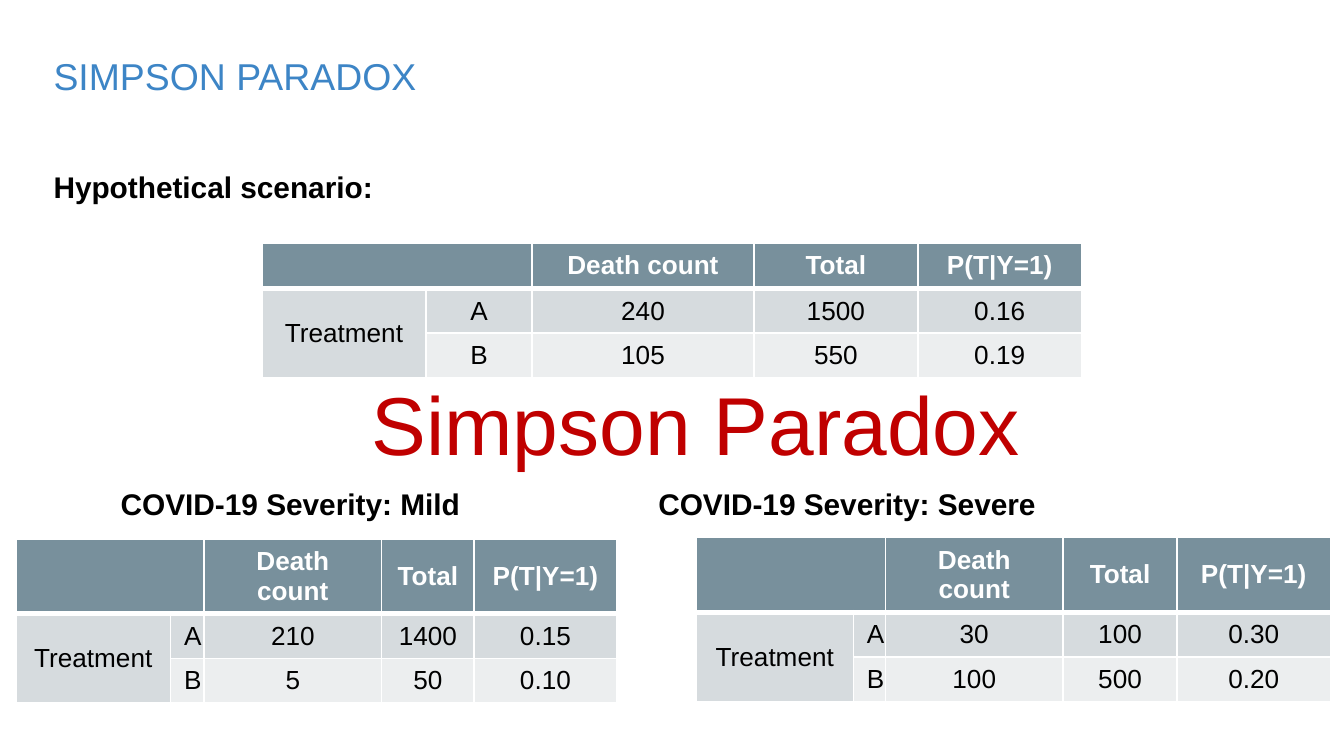
"""Build the Simpson paradox slide with one overall and two stratified tables."""
from dataclasses import dataclass

from lxml import etree
from pptx import Presentation
from pptx.dml.color import RGBColor
from pptx.enum.text import MSO_ANCHOR, PP_ALIGN
from pptx.oxml.ns import qn
from pptx.slide import Slide
from pptx.table import _Cell
from pptx.text.text import _Paragraph
from pptx.util import Pt

LEFT, CENTER = PP_ALIGN.LEFT, PP_ALIGN.CENTER
TOP, MIDDLE = MSO_ANCHOR.TOP, MSO_ANCHOR.MIDDLE


@dataclass(frozen=True)
class Theme:
    font: str = "Arial"
    title: str = "3D85C6"
    accent: str = "C00000"
    ink: str = "000000"
    paper: str = "FFFFFF"
    header: str = "78909C"
    band_dark: str = "D6DBDE"
    band_light: str = "ECEEEF"
    title_size: int = 20
    body_size: int = 16
    cell_size: int = 14
    banner_size: int = 44
    thin: int = 1
    thick: int = 3


@dataclass(frozen=True)
class Label:
    text: str
    box: tuple[float, float, float, float]
    size: int
    color: str
    bold: bool = False
    align: PP_ALIGN = LEFT
    anchor: MSO_ANCHOR = TOP
    spacing: float = 1.0
    inset: float = 3.6
    wrap: bool = True


@dataclass(frozen=True)
class CountTable:
    left: float
    top: float
    widths: tuple[float, ...]
    header_height: float
    a: tuple[str, str, str]
    b: tuple[str, str, str]


T = Theme()
ROW_HEIGHT = 24
HEADINGS = ("Death count", "Total", "P(T|Y=1)")

LABELS = (
    Label("Hypothetical scenario:", (21.6, 77, 890, 207.4), T.body_size, T.ink,
          bold=True, spacing=1.5),
    Label("SIMPSON PARADOX", (21.6, 20.2, 620.6, 41), T.title_size, T.title,
          anchor=MIDDLE, inset=7.2),
    Label("Simpson Paradox", (190, 196.6, 365.8, 60.5), T.banner_size, T.accent,
          align=CENTER, wrap=False),
    Label("\tCOVID-19 Severity: Mild\t\t\tCOVID-19 Severity: Severe",
          (21.6, 247, 890, 162.7), T.body_size, T.ink, bold=True, spacing=1.5),
)

TABLES = (
    CountTable(140.4, 130.3, (87.8, 56.9, 118.8, 87.8, 87.8), ROW_HEIGHT,
               ("240", "1500", "0.16"), ("105", "550", "0.19")),
    CountTable(8.6, 288.7, (82.8, 18, 95, 49.7, 76.3), 40,
               ("210", "1400", "0.15"), ("5", "50", "0.10")),
    CountTable(373, 288, (84.2, 16.6, 95, 61.2, 82.1), 40,
               ("30", "100", "0.30"), ("100", "500", "0.20")),
)


def style_runs(p: _Paragraph, size: int, color: str, bold: bool) -> None:
    for r in p.runs:
        r.font.name = T.font
        r.font.size = Pt(size)
        r.font.bold = bold
        r.font.color.rgb = RGBColor.from_string(color)


def add_label(s: Slide, label: Label) -> None:
    tf = s.shapes.add_textbox(*map(Pt, label.box)).text_frame
    tf.word_wrap = label.wrap
    tf.vertical_anchor = label.anchor
    tf.margin_top = tf.margin_bottom = Pt(label.inset)
    tf.text = label.text
    p = tf.paragraphs[0]
    p.alignment = label.align
    p.line_spacing = label.spacing
    style_runs(p, label.size, label.color, label.bold)


def set_borders(cell: _Cell, top: int, bottom: int) -> None:
    tc_pr = cell._tc.get_or_add_tcPr()
    sides = {"a:lnL": T.thin, "a:lnR": T.thin, "a:lnT": top, "a:lnB": bottom}
    for i, (tag, width) in enumerate(sides.items()):
        ln = etree.Element(qn(tag), w=str(Pt(width)))
        fill = etree.SubElement(ln, qn("a:solidFill"))
        etree.SubElement(fill, qn("a:srgbClr"), val=T.paper)
        tc_pr.insert(i, ln)


def fill_cell(cell: _Cell, text: str, row: int, color: str) -> None:
    is_header = row == 0
    cell.fill.solid()
    cell.fill.fore_color.rgb = RGBColor.from_string(color)
    cell.vertical_anchor = MIDDLE
    cell.text = text
    p = cell.text_frame.paragraphs[0]
    p.alignment = CENTER
    if text:
        style_runs(p, T.cell_size, T.paper if is_header else T.ink, is_header)
    else:
        etree.SubElement(p._p, qn("a:endParaRPr"), sz=str(T.cell_size * 100))
    set_borders(cell, T.thick if row == 1 else T.thin,
                T.thick if is_header else T.thin)


def add_count_table(s: Slide, spec_: CountTable) -> None:
    rows = (("", "", *HEADINGS), ("Treatment", "A", *spec_.a), ("", "B", *spec_.b))
    heights = (spec_.header_height, ROW_HEIGHT, ROW_HEIGHT)
    fills = (T.header, T.band_dark, T.band_light)
    table = s.shapes.add_table(
        len(rows), len(spec_.widths), Pt(spec_.left), Pt(spec_.top),
        Pt(sum(spec_.widths)), Pt(sum(heights))).table
    for column, width in zip(table.columns, spec_.widths):
        column.width = Pt(width)
    for i, (values, height, color) in enumerate(zip(rows, heights, fills)):
        table.rows[i].height = Pt(height)
        for j, text in enumerate(values):
            fill_cell(table.cell(i, j), text, i, color)
    table.cell(0, 0).merge(table.cell(0, 1))
    table.cell(1, 0).merge(table.cell(2, 0))


def main() -> None:
    prs = Presentation()
    prs.slide_width, prs.slide_height = Pt(720), Pt(405)
    s = prs.slides.add_slide(prs.slide_layouts[6])
    for table in TABLES:
        add_count_table(s, table)
    for label in LABELS:
        add_label(s, label)
    prs.save("out.pptx")


if __name__ == "__main__":
    main()
